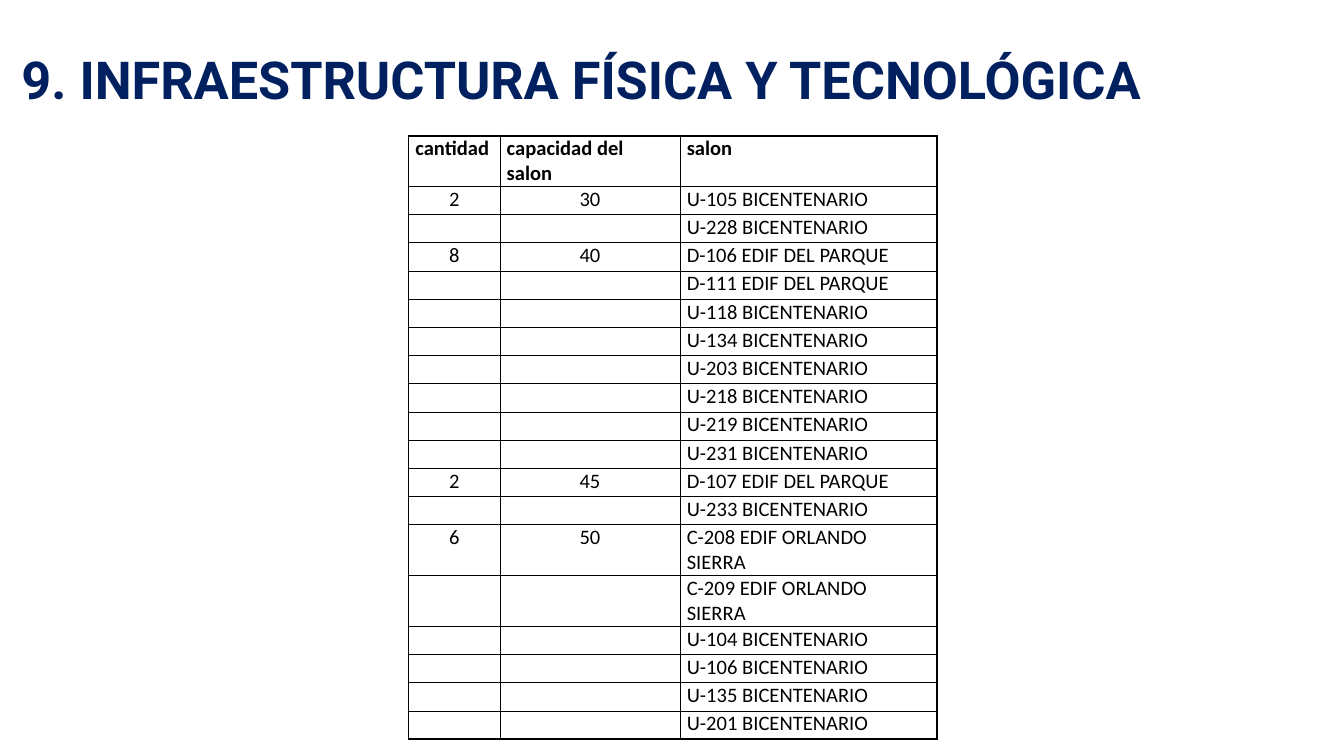
from lxml import etree
from pptx import Presentation
from pptx import util as u
from pptx.dml.color import RGBColor
from pptx.enum import text
from pptx.oxml import ns

WIDTH = 10
COLS = [0.68, 1.34, 1.91]
HEAD = ["cantidad", "capacidad del salon", "salon"]
PARK, BICEN, SIERRA = "EDIF DEL PARQUE", "BICENTENARIO", "EDIF ORLANDO SIERRA"
# Seats per room, then the rooms of that size
GROUPS = [
    (30, [("U-105", BICEN), ("U-228", BICEN)]),
    (40, [("D-106", PARK), ("D-111", PARK), ("U-118", BICEN), ("U-134", BICEN),
          ("U-203", BICEN), ("U-218", BICEN), ("U-219", BICEN), ("U-231", BICEN)]),
    (45, [("D-107", PARK), ("U-233", BICEN)]),
    (50, [("C-208", SIERRA), ("C-209", SIERRA), ("U-104", BICEN),
          ("U-106", BICEN), ("U-135", BICEN), ("U-201", BICEN)]),
]


def style(font, name, size, color, bold):
    font.name, font.size, font.bold = name, u.Pt(size), bold
    font.color.rgb = RGBColor.from_string(color)


def add_title(slide, words):
    title = slide.shapes.title
    title.left, title.top = u.Inches(0.06), u.Inches(0.18)
    title.width, title.height = u.Inches(9.18), u.Inches(0.87)
    frame = title.text_frame
    frame.text = words
    frame.word_wrap = True
    frame.auto_size = text.MSO_AUTO_SIZE.NONE
    frame.vertical_anchor = text.MSO_ANCHOR.TOP
    frame.margin_left = frame.margin_right = u.Inches(0.1)
    frame.margin_top = frame.margin_bottom = u.Inches(0.1)
    para = frame.paragraphs[0]
    para.alignment = text.PP_ALIGN.LEFT
    para.line_spacing = 1.15
    style(para.runs[0].font, "Roboto", 28, "002060", True)


def add_edge(cell, side, width):
    props = cell._tc.get_or_add_tcPr()
    line = etree.SubElement(props, ns.qn("a:ln" + side), w=str(u.Pt(width)))
    fill = etree.SubElement(line, ns.qn("a:solidFill"))
    etree.SubElement(fill, ns.qn("a:srgbClr"), val="000000")


def fill_cell(cell, words, bold, center):
    cell.margin_left = cell.margin_right = u.Inches(0.05)
    cell.margin_top = cell.margin_bottom = 0
    cell.fill.background()
    para = cell.text_frame.paragraphs[0]
    para.text = words
    if center:
        para.alignment = text.PP_ALIGN.CENTER
    for run in para.runs:
        style(run.font, "Calibri", 11, "000000", bold)
    if not words:
        # Keeps the row of an empty cell low
        etree.SubElement(para._p, ns.qn("a:endParaRPr"), sz="1100")


def list_rows():
    rows = [HEAD]
    for seats, rooms in GROUPS:
        for i, (code, site) in enumerate(rooms):
            lead = ["", ""] if i else [str(len(rooms)), str(seats)]
            rows.append(lead + [f"{code} {site}"])
    return rows


def add_rooms(slide, rows):
    frame = slide.shapes.add_table(
        len(rows), len(COLS), u.Inches(3.04), u.Inches(1.01),
        u.Inches(sum(COLS)), u.Inches(0.21 * len(rows)))
    table = frame.table
    table.first_row = table.horz_banding = False
    for col, width in zip(table.columns, COLS):
        col.width = u.Inches(width)
    for r, row in enumerate(rows):
        table.rows[r].height = u.Inches(0.21)
        for c, words in enumerate(row):
            cell = table.cell(r, c)
            outer = {"L": c == 0, "R": c == len(COLS) - 1,
                     "T": r == 0, "B": r == len(rows) - 1}
            for side, thick in outer.items():
                add_edge(cell, side, 1 if thick else 0.5)
            fill_cell(cell, words, r == 0, r > 0 and c < 2)


def main():
    deck = Presentation()
    deck.slide_width = u.Inches(WIDTH)
    deck.slide_height = u.Inches(WIDTH * 9 / 16)
    slide = deck.slides.add_slide(deck.slide_layouts[5])
    add_title(slide, "9. INFRAESTRUCTURA FÍSICA Y TECNOLÓGICA")
    add_rooms(slide, list_rows())
    deck.save("out.pptx")


if __name__ == "__main__":
    main()
